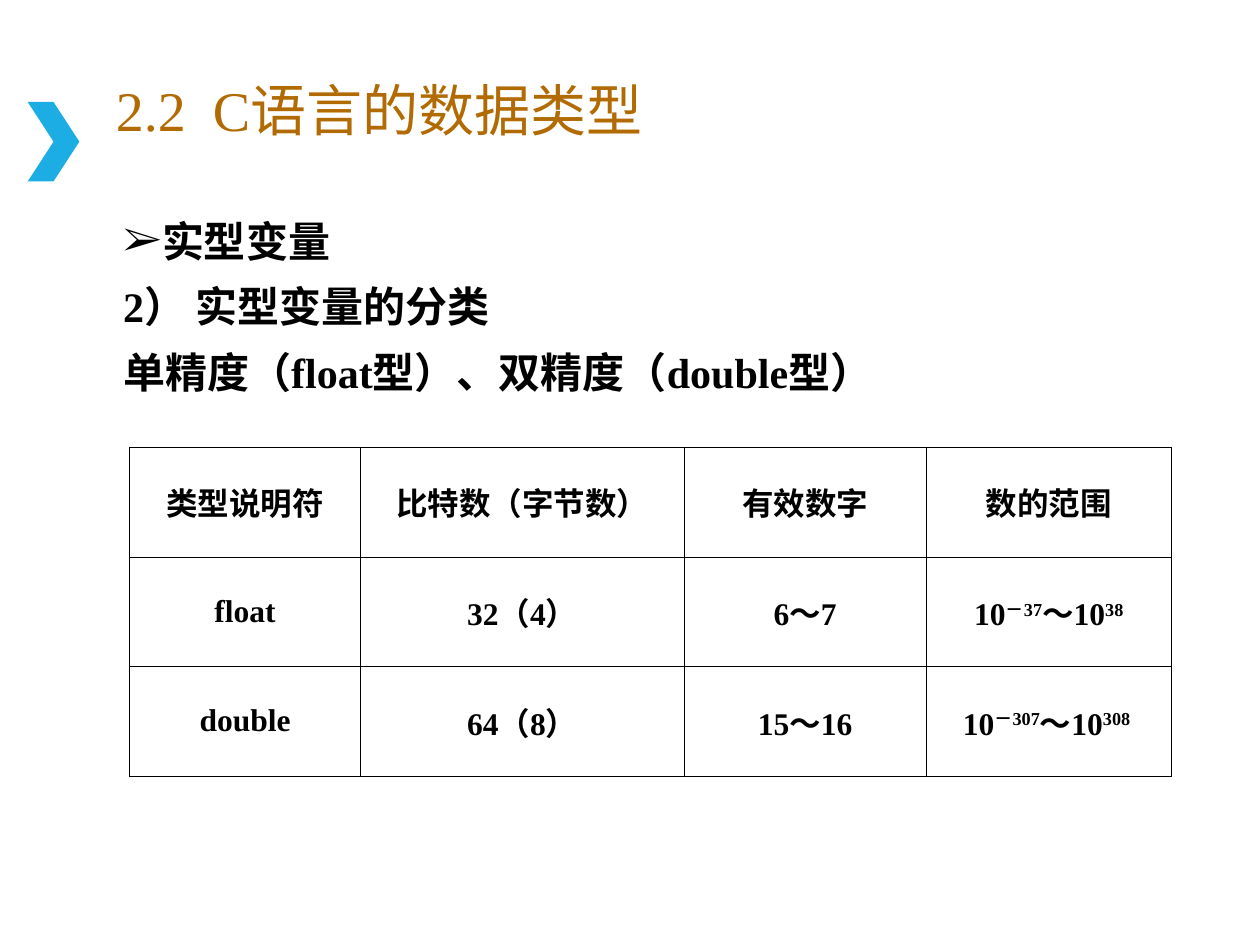
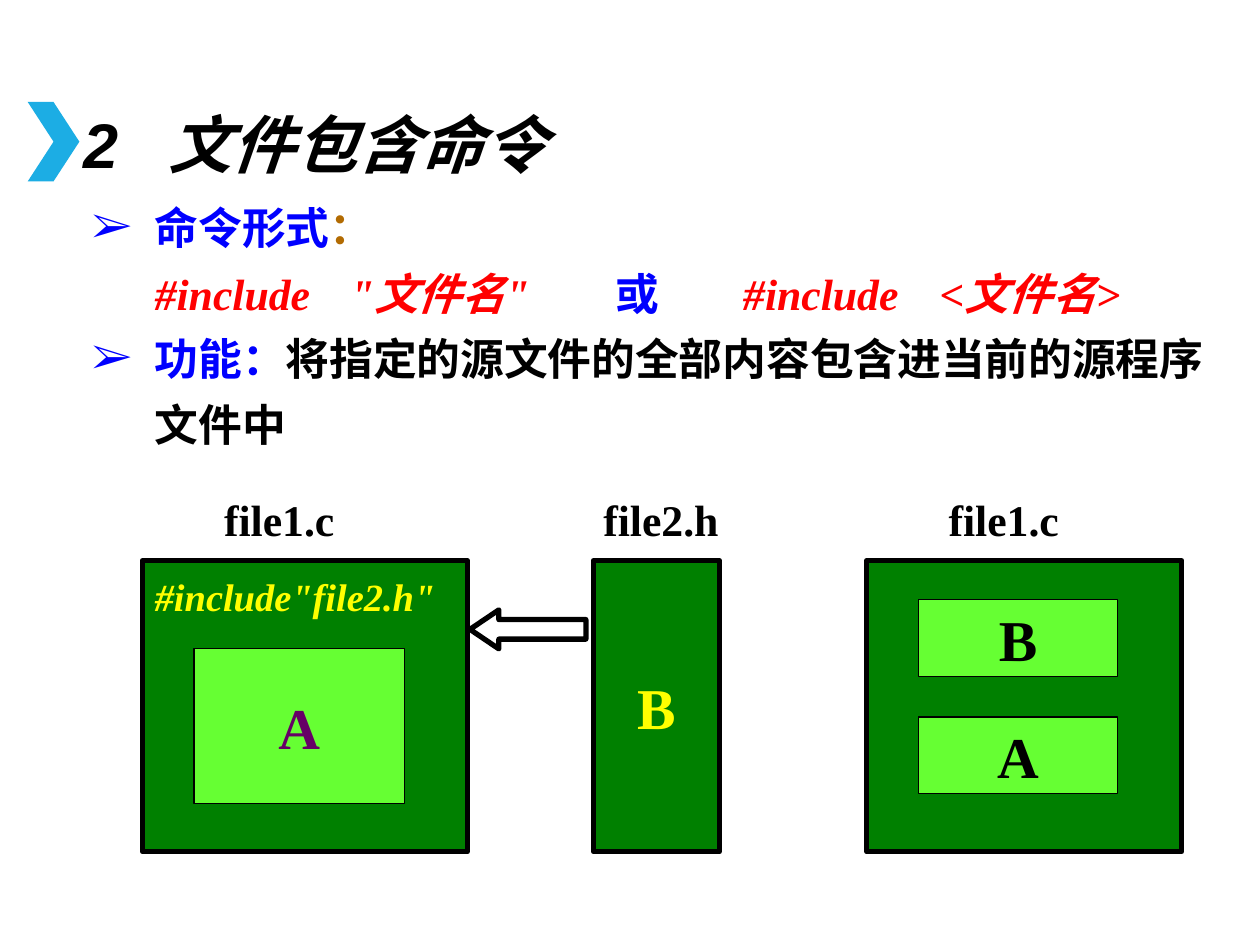
from dataclasses import dataclass, replace
from lxml import etree
from pptx import Presentation
from pptx import util as u
from pptx.dml.color import RGBColor
from pptx.enum import shapes as kinds, text as t
from pptx.oxml import ns

GRID_COLUMNS, GRID_ROWS = 100, 75
WIDTH, HEIGHT = u.Inches(10), u.Inches(7.5)
COLUMN, ROW = WIDTH / GRID_COLUMNS, HEIGHT / GRID_ROWS


@dataclass(frozen=True)
class Style:
    size: float
    color: str
    font: str = "Times New Roman"
    bold: bool = True
    italic: bool = False
    raised: bool = False


@dataclass(frozen=True)
class Theme:
    black: str = "000000"
    ochre: str = "B26B02"
    sky: str = "1CADE4"
    blue: str = "0000FF"
    red: str = "FF0000"
    green: str = "008000"
    lime: str = "66FF33"
    yellow: str = "FFFF00"
    purple: str = "660066"
    section: Style = Style(32, "B26B02", bold=False)
    command: Style = Style(36, "000000", font="Arial", italic=True)
    body: Style = Style(24, "000000")
    note: Style = Style(25, "000000")
    cell: Style = Style(18, "000000")
    code: Style = Style(22, "FFFF00", italic=True)
    letter: Style = Style(33, "000000")


THEME = Theme()


@dataclass(frozen=True)
class Box:
    column: float
    row: float
    columns: float
    rows: float

    def area(self, column, row, columns, rows):
        return Box(self.column + column, self.row + row, columns, rows)

    def place(self):
        return (round(self.column * COLUMN), round(self.row * ROW),
                round(self.columns * COLUMN), round(self.rows * ROW))


SLIDE = Box(0, 0, GRID_COLUMNS, GRID_ROWS)


def child(parent, tag, **attributes):
    return etree.SubElement(parent, ns.qn(tag), attributes)


def write(paragraph, runs):
    for words, style in runs:
        run = paragraph.add_run()
        run.text = words
        font = run.font
        font.name, font.size = style.font, u.Pt(style.size)
        font.bold, font.italic = style.bold, style.italic
        font.color.rgb = RGBColor.from_string(style.color)
        if style.raised:
            run._r.get_or_add_rPr().set("baseline", "30000")


def add_bullet(paragraph, color, hang=0.0):
    properties = paragraph._p.get_or_add_pPr()
    properties.set("marL", str(u.Inches(hang)))
    properties.set("indent", str(-u.Inches(hang)))
    child(child(properties, "a:buClr"), "a:srgbClr", val=color)
    child(properties, "a:buFont", typeface=THEME.body.font)
    child(properties, "a:buChar", char="➢")


def add_tabs(paragraph, *stops):
    tabs = child(paragraph._p.get_or_add_pPr(), "a:tabLst")
    for stop in stops:
        child(tabs, "a:tab", pos=str(u.Inches(stop)), algn="l")


def set_frame(frame, anchor=t.MSO_ANCHOR.TOP, wrap=True, side=0.1, top=0.05):
    frame.word_wrap = wrap
    frame.auto_size = t.MSO_AUTO_SIZE.NONE
    frame.vertical_anchor = anchor
    frame.margin_left = frame.margin_right = u.Inches(side)
    frame.margin_top, frame.margin_bottom = u.Inches(top), u.Inches(0.05)


def add_text(owner, box, paragraphs, spacing=1.0, wrap=True):
    frame = owner.add_textbox(*box.place()).text_frame
    set_frame(frame, wrap=wrap)
    for index, runs in enumerate(paragraphs):
        paragraph = frame.add_paragraph() if index else frame.paragraphs[0]
        paragraph.line_spacing = spacing
        write(paragraph, runs)
    return frame


def add_figure(owner, kind, box, fill=None, line=None, weight=0.75):
    figure = owner.add_shape(kind, *box.place())
    figure.shadow.inherit = False
    if fill:
        figure.fill.solid()
        figure.fill.fore_color.rgb = RGBColor.from_string(fill)
    else:
        figure.fill.background()
    if line:
        figure.line.color.rgb = RGBColor.from_string(line)
        figure.line.width = u.Pt(weight)
    else:
        figure.line.fill.background()
    return figure


def add_panel(owner, box, fill, weight, words=None, style=None):
    panel = add_figure(owner, kinds.MSO_SHAPE.RECTANGLE, box, fill, THEME.black, weight)
    if words:
        set_frame(panel.text_frame, t.MSO_ANCHOR.MIDDLE, wrap=False)
        paragraph = panel.text_frame.paragraphs[0]
        paragraph.alignment = t.PP_ALIGN.CENTER
        write(paragraph, [(words, style)])
    return panel


def add_titled_slide(deck, box, heading, style, stop, anchor, side):
    slide = deck.slides.add_slide(deck.slide_layouts[5])
    add_figure(slide.shapes, kinds.MSO_SHAPE.CHEVRON, SLIDE.area(2.2, 8.1, 4.1, 6.3), THEME.sky)
    title = slide.shapes.title
    title.left, title.top, title.width, title.height = box.place()
    set_frame(title.text_frame, anchor, side=side)
    paragraph = title.text_frame.paragraphs[0]
    paragraph.alignment = t.PP_ALIGN.LEFT
    paragraph.line_spacing = 0.9
    add_tabs(paragraph, stop)
    write(paragraph, [(heading, style)])
    return slide


def border_cell(cell):
    properties = cell._tc.get_or_add_tcPr()
    for side in "LRTB":
        edge = child(properties, f"a:ln{side}", w=str(u.Pt(0.45)))
        child(child(edge, "a:solidFill"), "a:srgbClr", val=THEME.black)
    cell.fill.background()


def add_type_table(slide, box):
    plain, raised = THEME.cell, replace(THEME.cell, raised=True)

    def value_range(low, high):
        return [("10", plain), (low, raised), ("～10", plain), (high, raised)]

    rows = [
        ["类型说明符", "比特数（字节数）", "有效数字", "数的范围"],
        ["float", "32（4）", "6～7", value_range("－37", "38")],
        ["double", "64（8）", "15～16", value_range("－307", "308 ")],
    ]
    widths = [18.3, 25.7, 19.2, 19.5]
    table = slide.shapes.add_table(len(rows), len(widths), *box.place()).table
    table.first_row = table.horz_banding = False
    for column, width in zip(table.columns, widths):
        column.width = round(width * COLUMN)
    for row, contents in zip(table.rows, rows):
        row.height = round(box.rows / len(rows) * ROW)
        for cell, content in zip(row.cells, contents):
            border_cell(cell)
            cell.vertical_anchor = t.MSO_ANCHOR.MIDDLE
            paragraph = cell.text_frame.paragraphs[0]
            paragraph.alignment = t.PP_ALIGN.CENTER
            write(paragraph, [(content, plain)] if isinstance(content, str) else content)


def add_source_file(slide, box, name, name_column, content=None):
    group = slide.shapes.add_group_shape().shapes
    body = box.area(0, 5.9, box.columns, box.rows - 5.9)
    letter = replace(THEME.letter, color=THEME.yellow)
    panel = add_panel(group, body, THEME.green, 3, content, letter)
    add_text(group, box.area(name_column, 0, 11, 5.2), [[(name, THEME.note)]], wrap=False)
    return group, body, panel


def add_inclusion_diagram(slide, box):
    add_source_file(slide, box.area(35.8, 0, 10, box.rows), "file2.h", -0.2, "B")

    before, body, panel = add_source_file(slide, box.area(0, 0, 25.8, box.rows), "file1.c", 5.5)
    set_frame(panel.text_frame, top=0.1)
    directive = panel.text_frame.paragraphs[0]
    directive.alignment = t.PP_ALIGN.LEFT
    write(directive, [('#include"file2.h"', THEME.code)])
    add_panel(before, body.area(4.1, 7, 16.7, 12.3), THEME.lime, 0.75,
              "A", replace(THEME.letter, color=THEME.purple))

    arrow = add_figure(slide.shapes, kinds.MSO_SHAPE.LEFT_ARROW,
                       box.area(26, 9.8, 9.2, 3.1), line=THEME.black, weight=3)
    arrow.adjustments[1] = 0.74

    after, body, panel = add_source_file(slide, box.area(57.5, 0, 25, box.rows), "file1.c", 5.5)
    for index, block in enumerate("BA"):
        add_panel(after, body.area(4.1, 3.1 + 9.3 * index, 15.8, 6.1),
                  THEME.lime, 0.75, block, THEME.letter)


def add_command_notes(slide, box):
    blue, red = (replace(THEME.note, color=c) for c in (THEME.blue, THEME.red))
    code = replace(red, italic=True)
    frame = add_text(slide.shapes, box, [
        [("命令形式", blue), ("：", replace(blue, color=THEME.ochre))],
        [("\t", red), ('#include\t"文件名"\t', code), ("或\t", blue), ("#include\t<文件名>", code)],
        [("功能：", blue), ("将指定的源文件的全部内容包含进当前的源程序文件中", THEME.note)],
    ], spacing=1.25)
    form, syntax, purpose = frame.paragraphs
    for paragraph in (form, purpose):
        add_bullet(paragraph, THEME.blue, hang=0.5)
    add_tabs(syntax, 0.5, 2.05, 4.16, 5.17, 6.73)


def add_data_types_slide(deck):
    slide = add_titled_slide(deck, SLIDE.area(8.3, 6.1, 90, 7.4), "2.2\tC语言的数据类型",
                             THEME.section, 0.77, t.MSO_ANCHOR.TOP, 0.09)
    lines = ["实型变量", "2） 实型变量的分类", "单精度（float型）、双精度（double型）"]
    frame = add_text(slide.shapes, SLIDE.area(8.8, 15.4, 89, 16.6),
                     [[(line, THEME.body)] for line in lines], spacing=1.3)
    add_bullet(frame.paragraphs[0], THEME.black)
    add_type_table(slide, SLIDE.area(10.3, 35.5, 82.7, 26.1))


def add_include_slide(deck):
    slide = add_titled_slide(deck, SLIDE.area(5.6, 7.9, 94.4, 7.7), "2\t文件包含命令",
                             THEME.command, 0.68, t.MSO_ANCHOR.MIDDLE, 0.1)
    add_command_notes(slide, SLIDE.area(6.3, 14.4, 93.1, 21.8))
    add_inclusion_diagram(slide, SLIDE.area(11.3, 38.6, 82.5, 29))


def main():
    deck = Presentation()
    deck.slide_width, deck.slide_height = WIDTH, HEIGHT
    add_data_types_slide(deck)
    add_include_slide(deck)
    deck.save("out.pptx")


if __name__ == "__main__":
    main()
